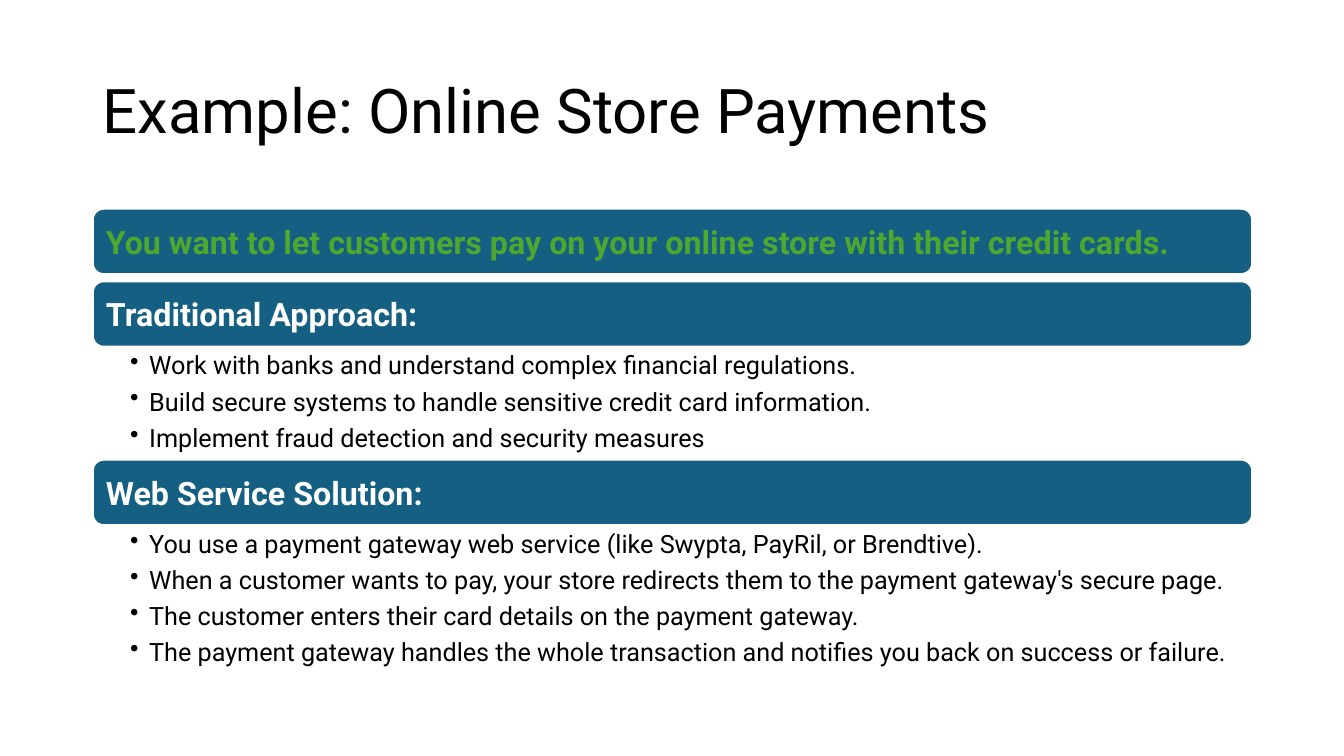
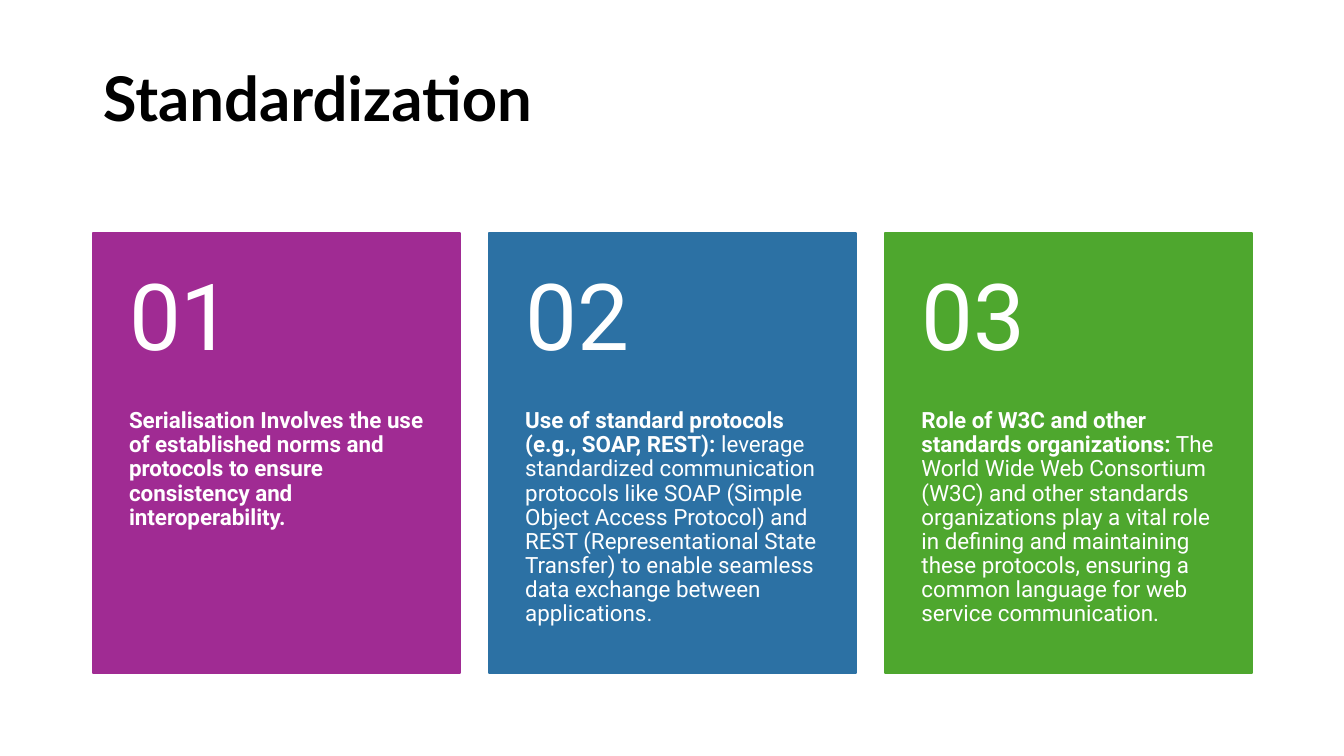
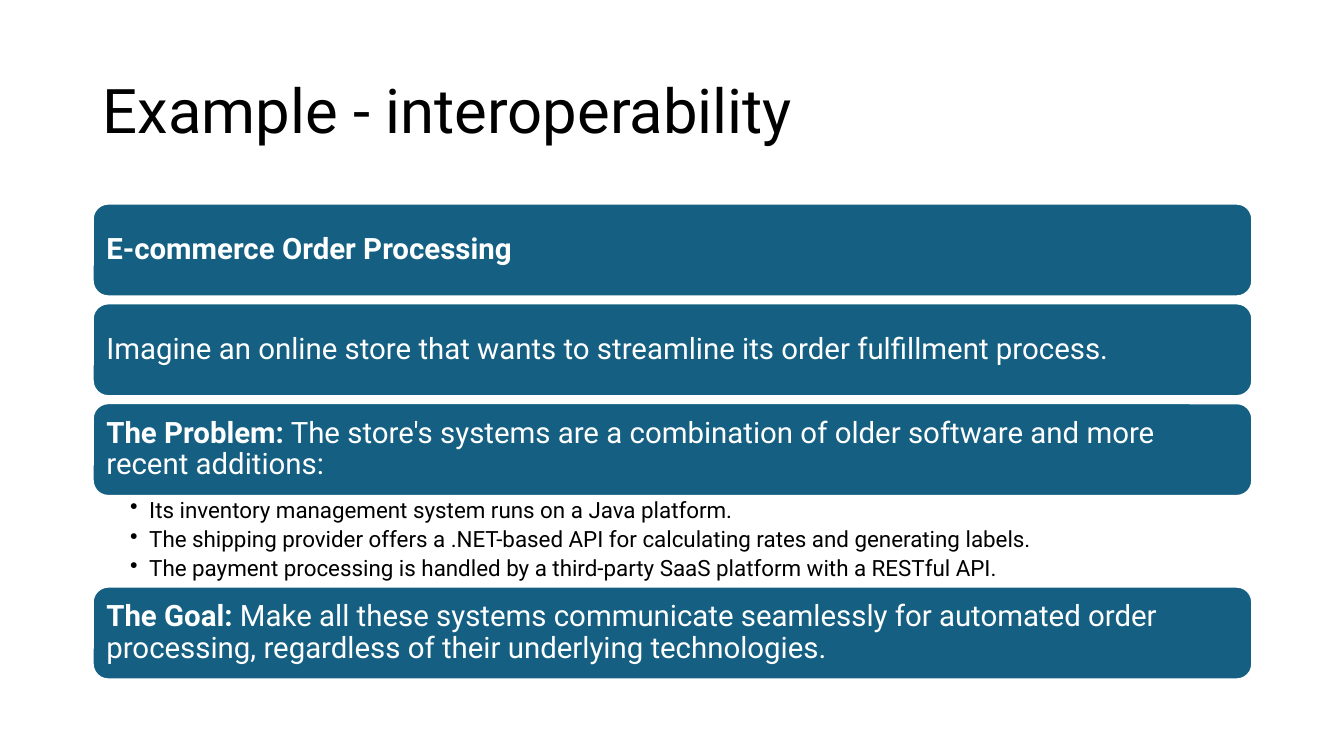
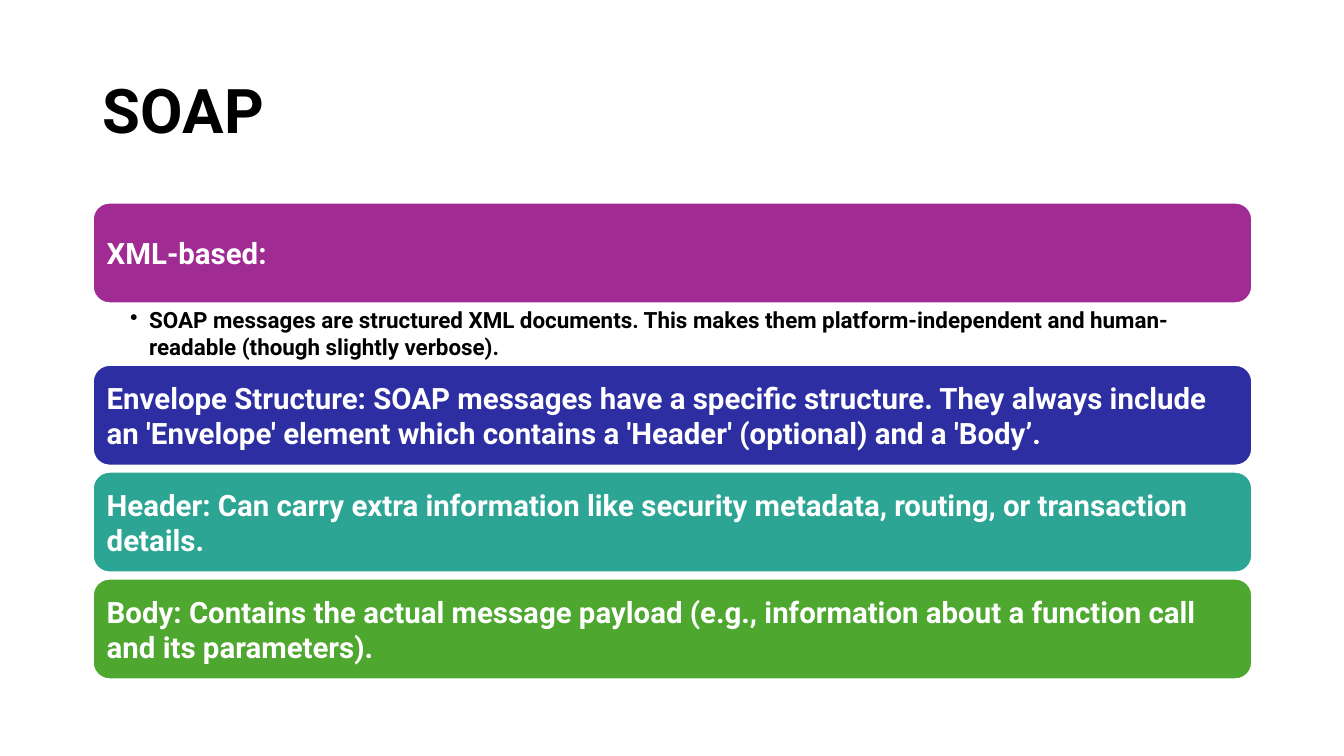
import pptx
import pptx.dml.color
import pptx.enum.shapes
import pptx.enum.text
import pptx.oxml
import pptx.oxml.ns
import pptx.util
from pptx.util import Inches

COLORS = {
    "text": "000000",
    "white": "FFFFFF",
    "petrol": "156082",
    "purple": "A02B93",
    "blue": "2C71A4",
    "green": "4EA72E",
    "indigo": "2C2EA2",
    "teal": "2DA594",
}
FONT = "Roboto"
LEFT, WIDTH = 0.92, 11.5
ANCHOR = pptx.enum.text.MSO_ANCHOR
SHAPES = pptx.enum.shapes.MSO_SHAPE

# A run is (text, bold). Each section is a band with the bullets below it.
PAYMENTS = {
    "title": ("Example: Online Store Payments", False),
    "top": 2.07, "band_height": 0.65, "gap": 0.07, "inset": 0.1,
    "band_size": 23, "bullet_size": 18, "bullet_bold": False, "spacing": 1.0,
    "sections": [
        {"runs": [("You want to let customers pay on your online store with "
                   "their credit cards.", True)],
         "fill": "petrol", "color": "green"},
        {"runs": [("Traditional Approach:", True)], "fill": "petrol",
         "bullets_height": 1.12,
         "bullets": [
             "Work with banks and understand complex financial regulations.",
             "Build secure systems to handle sensitive credit card information.",
             "Implement fraud detection and security measures"]},
        {"runs": [("Web Service Solution:", True)], "fill": "petrol",
         "bullets_height": 1.48,
         "bullets": [
             "You use a payment gateway web service (like Swypta, PayRil, or Brendtive).",
             "When a customer wants to pay, your store redirects them to the "
             "payment gateway's secure page.",
             "The customer enters their card details on the payment gateway.",
             "The payment gateway handles the whole transaction and notifies "
             "you back on success or failure."]},
    ],
}

INTEROPERABILITY = {
    "title": ("Example - interoperability", False),
    "top": 2.02, "band_height": 0.92, "gap": 0.07, "inset": 0.09,
    "band_size": 21, "bullet_size": 16, "bullet_bold": False, "spacing": 0.9,
    "sections": [
        {"runs": [("E-commerce Order Processing", True)], "fill": "petrol"},
        {"runs": [("Imagine an online store that wants to streamline its order "
                   "fulfillment process.", False)], "fill": "petrol"},
        {"runs": [("The Problem:", True),
                  (" The store's systems are a combination of older software "
                   "and more recent additions:", False)],
         "fill": "petrol", "bullets_height": 0.9,
         "bullets": [
             "Its inventory management system runs on a Java platform.",
             "The shipping provider offers a .NET-based API for calculating "
             "rates and generating labels.",
             "The payment processing is handled by a third-party SaaS platform "
             "with a RESTful API."]},
        {"runs": [("The Goal:", True),
                  (" Make all these systems communicate seamlessly for automated "
                   "order processing, regardless of their underlying "
                   "technologies.", False)], "fill": "petrol"},
    ],
}

SOAP = {
    "title": ("SOAP", True),
    "top": 2.01, "band_height": 1.0, "gap": 0.06, "inset": 0.09,
    "band_size": 21, "bullet_size": 16, "bullet_bold": True, "spacing": 1.0,
    "sections": [
        {"runs": [("XML-based:", True)], "fill": "purple",
         "bullets_height": 0.61,
         "bullets": [
             "SOAP messages are structured XML documents. This makes them "
             "platform-independent and human-readable (though slightly verbose)."]},
        {"runs": [("Envelope Structure: SOAP messages have a specific structure. "
                   "They always include an 'Envelope' element which contains a "
                   "'Header' (optional) and a 'Body’.", True)], "fill": "indigo"},
        {"runs": [("Header: Can carry extra information like security metadata, "
                   "routing, or transaction details.", True)], "fill": "teal"},
        {"runs": [("Body: Contains the actual message payload (e.g., information "
                   "about a function call and its parameters).", True)],
         "fill": "green"},
    ],
}

CARDS = [
    ("purple", [("Serialisation Involves the use of established norms and "
                 "protocols to ensure consistency and interoperability.", True)]),
    ("blue", [("Use of standard protocols (e.g., SOAP, REST):", True),
              (" leverage standardized communication protocols like SOAP (Simple "
               "Object Access Protocol) and REST (Representational State "
               "Transfer) to enable seamless data exchange between "
               "applications.", False)]),
    ("green", [("Role of W3C and other standards organizations:", True),
               (" The World Wide Web Consortium (W3C) and other standards "
                "organizations play a vital role in defining and maintaining "
                "these protocols, ensuring a common language for web service "
                "communication.", False)]),
]


def rgb(name):
    return pptx.dml.color.RGBColor.from_string(COLORS[name])


def set_frame(shape, insets, anchor):
    """Set wrapping, anchor and the left, top, right and bottom insets."""
    frame = shape.text_frame
    frame.word_wrap = True
    frame.auto_size = pptx.enum.text.MSO_AUTO_SIZE.NONE
    frame.vertical_anchor = anchor
    (frame.margin_left, frame.margin_top,
     frame.margin_right, frame.margin_bottom) = map(Inches, insets)
    return frame


def write(paragraph, runs, size, color="white", spacing=1.0, font=FONT):
    paragraph.alignment = pptx.enum.text.PP_ALIGN.LEFT
    paragraph.line_spacing = spacing
    for text, bold in runs:
        run = paragraph.add_run()
        run.text = text
        run.font.name = font
        run.font.size = pptx.util.Pt(size)
        run.font.bold = bold
        run.font.color.rgb = rgb(color)


def add_bullet(paragraph):
    properties = paragraph._p.get_or_add_pPr()
    properties.set("marL", str(Inches(0.19)))
    properties.set("indent", str(Inches(-0.19)))
    bullet = pptx.oxml.parse_xml(
        f'<a:buChar {pptx.oxml.ns.nsdecls("a")} char="•"/>')
    properties.append(bullet)


def add_titled_slide(deck, title, box=(LEFT, 0.4, WIDTH, 1.45),
                     anchor=ANCHOR.MIDDLE, font=FONT):
    slide = deck.slides.add_slide(deck.slide_layouts[5])
    heading = slide.shapes.title
    heading.left, heading.top, heading.width, heading.height = map(Inches, box)
    frame = set_frame(heading, (0.1, 0.05, 0.1, 0.05), anchor)
    write(frame.paragraphs[0], [title], 44, "text", 0.9, font)
    return slide


def add_panel(slide, preset, box, fill, line):
    panel = slide.shapes.add_shape(preset, *map(Inches, box))
    panel.shadow.inherit = False
    panel.fill.solid()
    panel.fill.fore_color.rgb = rgb(fill)
    panel.line.color.rgb = rgb(line)
    panel.line.width = pptx.util.Pt(1.5)
    return panel


def add_bullets(slide, top, height, bullets, size, bold, spacing):
    box = slide.shapes.add_textbox(*map(Inches, (LEFT, top, WIDTH, height)))
    frame = set_frame(box, (0.37, 0.03, size / 100, 0.03), ANCHOR.TOP)
    for index, text in enumerate(bullets):
        paragraph = frame.add_paragraph() if index else frame.paragraphs[0]
        write(paragraph, [(text, bold)], size, "text", spacing)
        paragraph.space_after = pptx.util.Pt(round(size * 0.234, 1))
        add_bullet(paragraph)


def build_band_slide(deck, content):
    """Stack the bands; bullets fill the space up to the next band."""
    slide = add_titled_slide(deck, content["title"])
    top, height = content["top"], content["band_height"]
    for section in content["sections"]:
        band = add_panel(slide, SHAPES.ROUNDED_RECTANGLE,
                         (LEFT, top, WIDTH, height), section["fill"], "white")
        frame = set_frame(band, [content["inset"]] * 4, ANCHOR.MIDDLE)
        write(frame.paragraphs[0], section["runs"], content["band_size"],
              section.get("color", "white"), content["spacing"])
        top += height
        if "bullets" in section:
            add_bullets(slide, top, section["bullets_height"], section["bullets"],
                        content["bullet_size"], content["bullet_bold"],
                        content["spacing"])
            top += section["bullets_height"]
        else:
            top += content["gap"]


def build_card_slide(deck):
    slide = add_titled_slide(deck, ("Standardization", True),
                             (LEFT, 0.28, WIDTH, 1.11), ANCHOR.BOTTOM, "Lato")
    top, width, height, number_height = 2.31, 3.64, 4.37, 1.75
    gap = (WIDTH - len(CARDS) * width) / (len(CARDS) - 1)
    for index, (color, runs) in enumerate(CARDS):
        left = LEFT + index * (width + gap)
        card = add_panel(slide, SHAPES.RECTANGLE,
                         (left, top, width, height), color, color)
        body = set_frame(card, (0.36, number_height, 0.36, 0.36), ANCHOR.TOP)
        write(body.paragraphs[0], runs, 16, spacing=0.9)
        number = slide.shapes.add_textbox(
            *map(Inches, (left, top, width, number_height)))
        frame = set_frame(number, (0.36, 0.18, 0.36, 0.18), ANCHOR.MIDDLE)
        write(frame.paragraphs[0], [(f"{index + 1:02d}", False)], 66, spacing=0.9)


def main():
    deck = pptx.Presentation()
    deck.slide_width, deck.slide_height = Inches(13.33), Inches(7.5)
    build_band_slide(deck, PAYMENTS)
    build_card_slide(deck)
    build_band_slide(deck, INTEROPERABILITY)
    build_band_slide(deck, SOAP)
    deck.save("out.pptx")


if __name__ == "__main__":
    main()
